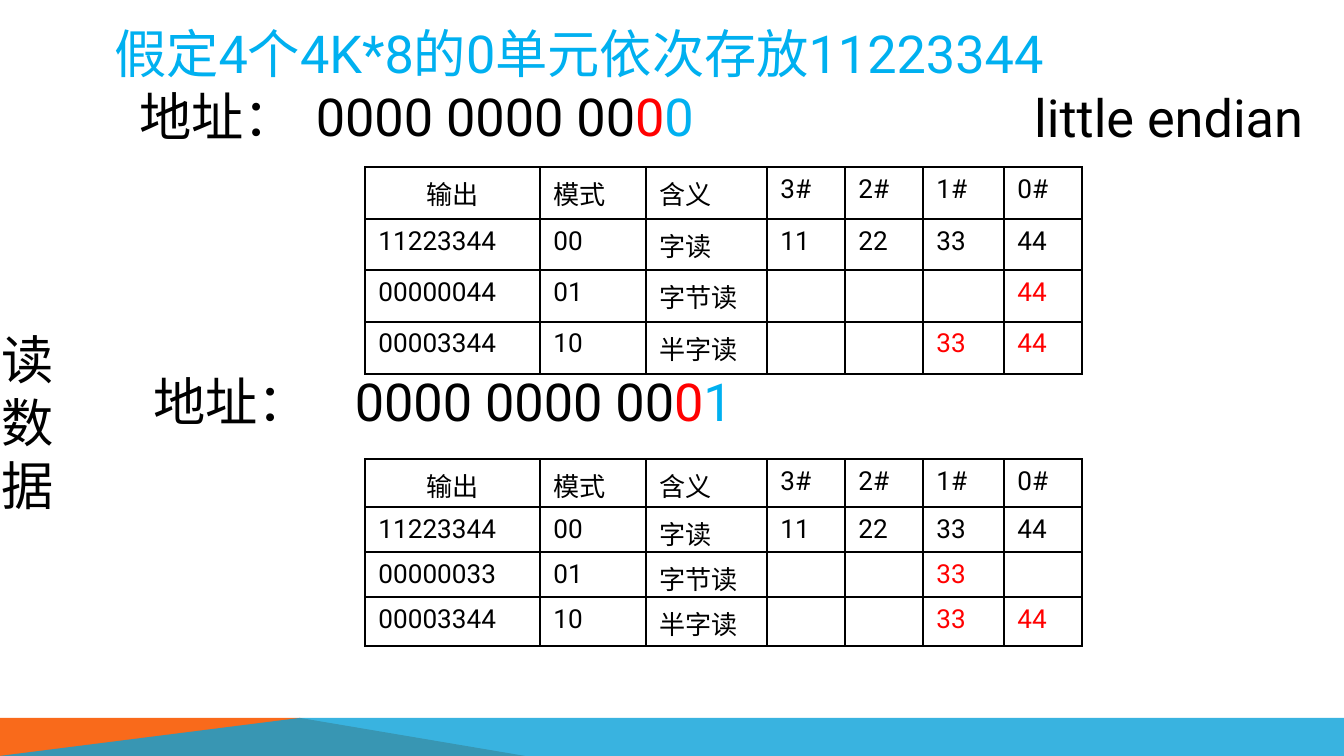
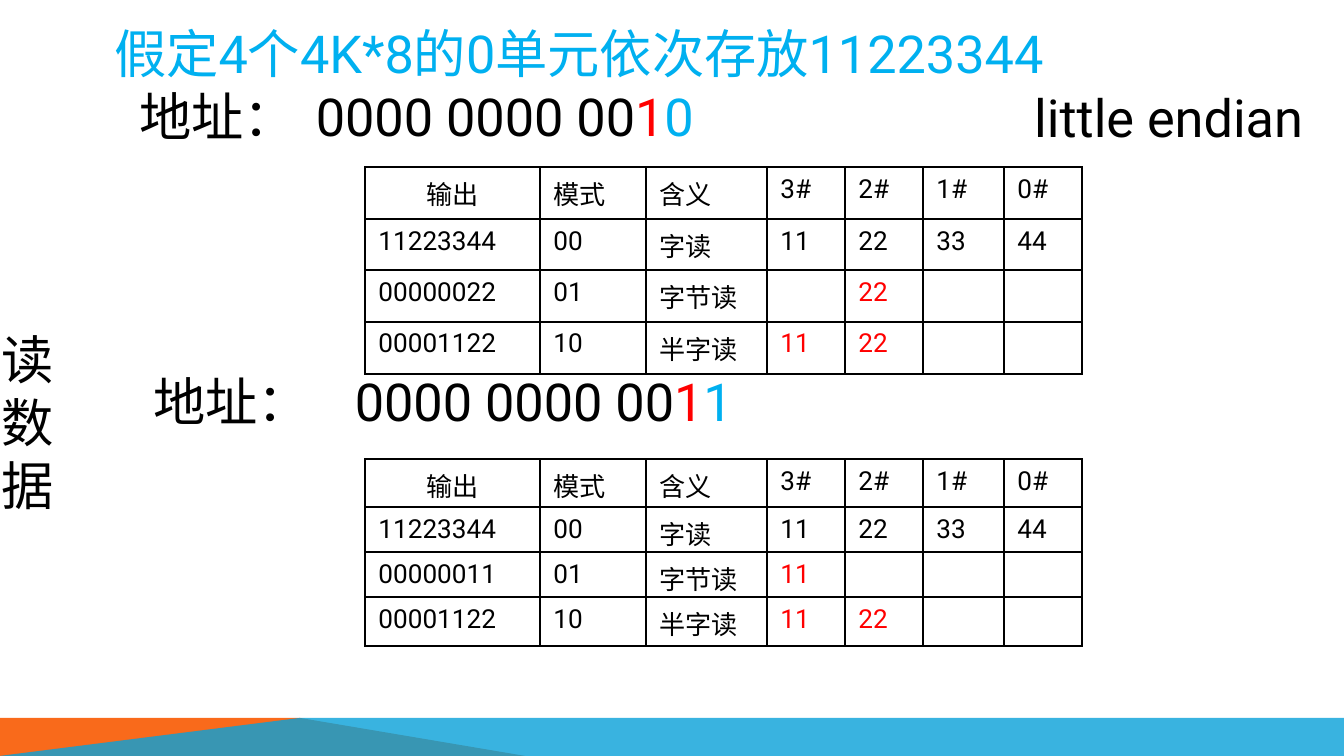
import dataclasses
import typing

import lxml.etree
import pptx
import pptx.dml.color
import pptx.enum.text
import pptx.oxml.ns
import pptx.util

SCALE = 914400 / 134.4
WIDE, HIGH = 1344, 756


@dataclasses.dataclass(frozen=True)
class Theme:
    font: str = "Roboto"
    ink: str = "000000"
    red: str = "FF0000"
    sky: str = "00B0F0"
    orange: str = "F96A1B"
    blue: str = "08A1D9"
    large: int = 28
    small: int = 14
    rule: int = 1


@dataclasses.dataclass(frozen=True)
class Box:
    left: int
    top: int
    width: int
    height: int


@dataclasses.dataclass(frozen=True)
class Band:
    color: str
    points: tuple[tuple[int, int], ...]
    alpha: int = 100


@dataclasses.dataclass(frozen=True)
class Case:
    high: int
    low: int
    tab: int


@dataclasses.dataclass(frozen=True)
class Grid:
    top: int
    rows: tuple[int, ...]


THEME = Theme()
TITLE = "假定4个4K*8的0单元依次存放11223344"
HEAD = ("输出", "模式", "含义", "3#", "2#", "1#", "0#")
BYTES = ("11", "22", "33", "44")
COLS = (175, 106, 121, 78, 78, 81, 78)
GRID_LEFT = 365
UPPER = Grid(167, (52, 51, 52, 52))
LOWER = Grid(459, (48, 45, 45, 49))
TITLE_BOX = Box(101, 15, 1105, 60)
LOWER_BOX = Box(140, 363, 1105, 60)
ENDIAN_BOX = Box(1021, 79, 306, 60)
SIDE_BOX = Box(-12, 321, 79, 203)
BAND_TOP = 718
BANDS = (
    Band(THEME.orange, ((0, HIGH), (0, BAND_TOP), (300, BAND_TOP), (525, HIGH))),
    Band(THEME.blue, ((0, HIGH), (300, BAND_TOP), (WIDE, BAND_TOP), (WIDE, HIGH)), 80),
)
PAGES = (
    (Case(0, 0, 227), Case(0, 1, 179)),
    (Case(1, 0, 239), Case(1, 1, 202)),
)


def px(size: int) -> int:
    return round(size * SCALE)


def rgb(color: str) -> pptx.dml.color.RGBColor:
    return pptx.dml.color.RGBColor.from_string(color)


def node(parent: typing.Any, tag: str, **attrs: str) -> typing.Any:
    child = lxml.etree.SubElement(parent, pptx.oxml.ns.qn(tag))
    for key, value in attrs.items():
        child.set(key, value)
    return child


def style(run: typing.Any, size: int, color: str) -> None:
    run.font.name = THEME.font
    run.font.size = pptx.util.Pt(size)
    run.font.color.rgb = rgb(color)


def style_large(run: typing.Any, color: str) -> None:
    style(run, THEME.large, color)
    node(run.font._element, "a:ea", typeface=THEME.font)


def add_text(slide: typing.Any, box: Box, text: str, color: str, wrap: bool = True) -> typing.Any:
    shape = slide.shapes.add_textbox(px(box.left), px(box.top), px(box.width), px(box.height))
    frame = shape.text_frame
    frame.word_wrap = wrap
    frame.text = text
    for para in frame.paragraphs:
        for run in para.runs:
            style_large(run, color)
    return frame


def fill_address(para: typing.Any, case: Case, indent: int = 0) -> None:
    props = para._p.get_or_add_pPr()
    props.set("marL", "0")
    props.set("indent", str(px(indent)))
    tabs = node(props, "a:tabLst")
    node(tabs, "a:tab", pos=str(px(case.tab)), algn="l")
    parts = (
        ("地址：\t0000 0000 00", THEME.ink),
        (str(case.high), THEME.red),
        (str(case.low), THEME.sky),
    )
    for text, color in parts:
        run = para.add_run()
        run.text = text
        style_large(run, color)


def read_rows(case: Case) -> list[tuple[str, ...]]:
    lane = 3 - (2 * case.high + case.low)
    start = 2 - 2 * case.high
    modes = (
        ("00", "字读", range(4)),
        ("01", "字节读", range(lane, lane + 1)),
        ("10", "半字读", range(start, start + 2)),
    )
    rows = [HEAD]
    for mode, name, lanes in modes:
        output = "".join(BYTES[i] for i in lanes).zfill(8)
        cells = (BYTES[i] if i in lanes else "" for i in range(4))
        rows.append((output, mode, name, *cells))
    return rows


def add_borders(cell: typing.Any) -> None:
    props = cell._tc.get_or_add_tcPr()
    width = str(pptx.util.Pt(THEME.rule))
    for i, side in enumerate(("a:lnL", "a:lnR", "a:lnT", "a:lnB")):
        line = node(props, side, w=width)
        fill = node(line, "a:solidFill")
        node(fill, "a:srgbClr", val=THEME.ink)
        props.insert(i, line)


def fill_cell(cell: typing.Any, text: str, color: str) -> None:
    cell.fill.background()
    cell.margin_bottom = 0
    add_borders(cell)
    para = cell.text_frame.paragraphs[0]
    if not text:
        node(para._p, "a:endParaRPr", sz=str(THEME.small * 100))
        return
    para.text = text
    style(para.runs[0], THEME.small, color)
    if text == HEAD[0]:
        para.alignment = pptx.enum.text.PP_ALIGN.CENTER


def add_grid(slide: typing.Any, grid: Grid, case: Case) -> None:
    table = slide.shapes.add_table(
        len(grid.rows), len(COLS), px(GRID_LEFT), px(grid.top), px(sum(COLS)), px(sum(grid.rows))
    ).table
    table.first_row = False
    table.horz_banding = False
    for col, width in zip(table.columns, COLS):
        col.width = px(width)
    for row, height in zip(table.rows, grid.rows):
        row.height = px(height)
    for r, texts in enumerate(read_rows(case)):
        for c, text in enumerate(texts):
            color = THEME.red if r > 1 and c > 2 else THEME.ink
            fill_cell(table.cell(r, c), text, color)


def add_band(slide: typing.Any, band: Band) -> None:
    points = [(px(x), px(y)) for x, y in band.points]
    form = slide.shapes.build_freeform(*points[0])
    form.add_line_segments(points[1:], close=True)
    shape = form.convert_to_shape()
    shape.shadow.inherit = False
    shape.line.fill.background()
    shape.fill.solid()
    shape.fill.fore_color.rgb = rgb(band.color)
    if band.alpha < 100:
        color = shape._element.spPr.find(".//" + pptx.oxml.ns.qn("a:srgbClr"))
        node(color, "a:alpha", val=str(band.alpha * 1000))


def add_page(deck: typing.Any, upper: Case, lower: Case) -> None:
    slide = deck.slides.add_slide(deck.slide_layouts[6])
    for band in BANDS:
        add_band(slide, band)
    add_grid(slide, UPPER, upper)
    title = add_text(slide, TITLE_BOX, TITLE, THEME.sky)
    fill_address(title.add_paragraph(), upper, 25)
    address = add_text(slide, LOWER_BOX, "", THEME.ink)
    fill_address(address.paragraphs[0], lower)
    add_text(slide, ENDIAN_BOX, "little endian", THEME.ink)
    side = add_text(slide, SIDE_BOX, "读\n数\n据", THEME.ink, wrap=False)
    side.auto_size = pptx.enum.text.MSO_AUTO_SIZE.SHAPE_TO_FIT_TEXT
    add_grid(slide, LOWER, lower)


def main() -> None:
    deck = pptx.Presentation()
    deck.slide_width = px(WIDE)
    deck.slide_height = px(HIGH)
    for upper, lower in PAGES:
        add_page(deck, upper, lower)
    deck.save("out.pptx")


if __name__ == "__main__":
    main()
